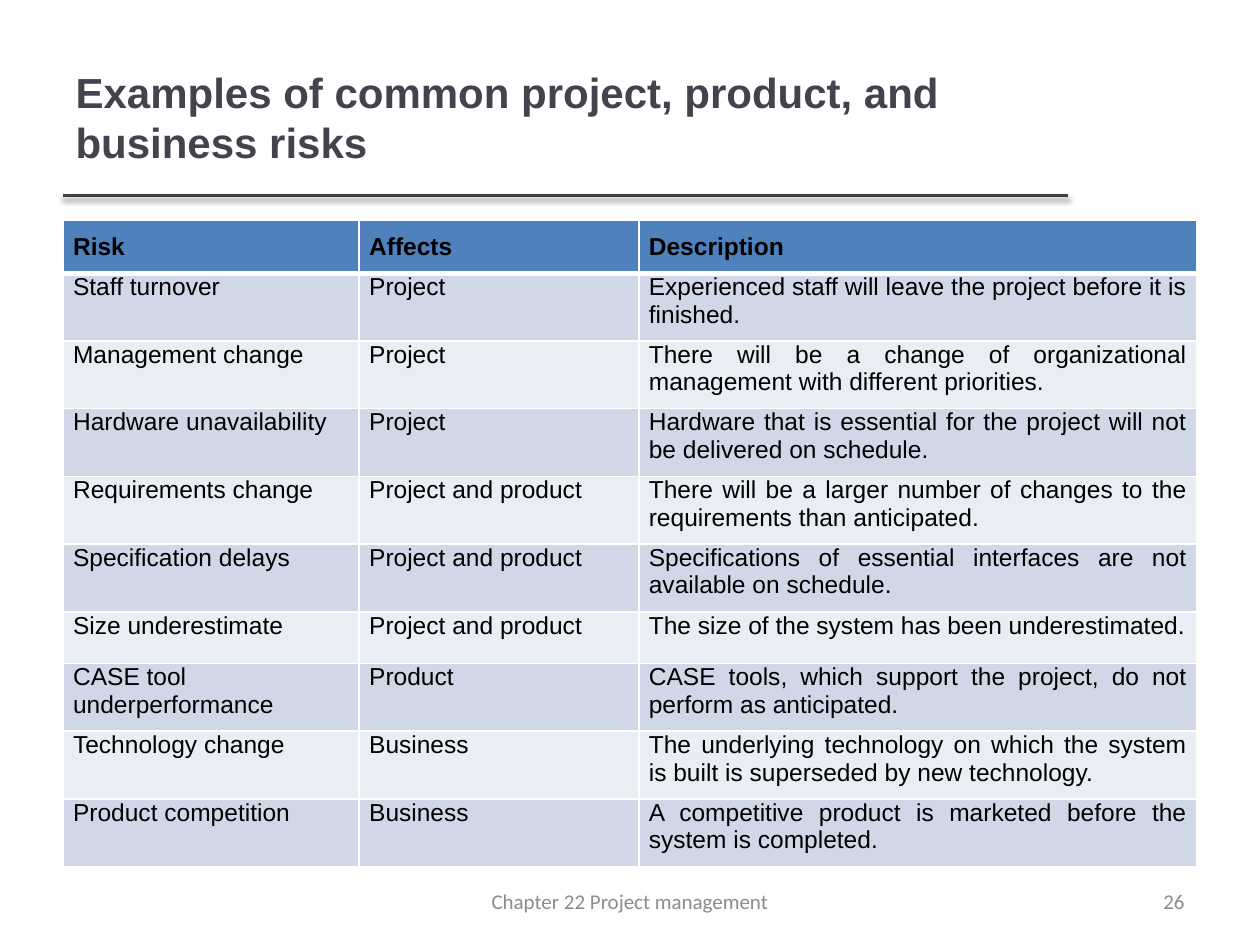
from dataclasses import dataclass
from typing import NamedTuple

from lxml import etree
from pptx import Presentation
from pptx import util as u
from pptx.dml.color import RGBColor
from pptx.enum import shapes, text
from pptx.oxml import parse_xml
from pptx.oxml.ns import nsdecls, qn

LEFT, RIGHT = text.PP_ALIGN.LEFT, text.PP_ALIGN.RIGHT
CENTER, JUSTIFY = text.PP_ALIGN.CENTER, text.PP_ALIGN.JUSTIFY
TOP, MIDDLE = text.MSO_ANCHOR.TOP, text.MSO_ANCHOR.MIDDLE


@dataclass(frozen=True)
class Theme:
    title: str = "46424D"
    rule: str = "404040"
    ink: str = "000000"
    muted: str = "8C8C8C"
    header: str = "4F81BD"
    bands: tuple = ("D0D8E8", "E9EDF4")
    border: str = "FFFFFF"
    font: str = "Arial"
    footer_font: str = "Calibri"
    title_size: float = 24
    table_size: float = 14
    footer_size: float = 12


class Box(NamedTuple):
    left: float
    top: float
    width: float
    height: float

    def emu(self) -> list:
        return [u.Inches(v) for v in self]


class Risk(NamedTuple):
    name: str
    affects: str
    description: str


THEME = Theme()
SLIDE_W, SLIDE_H, MARGIN = 10, 7.5, 0.5
CONTENT_W = SLIDE_W - 2 * MARGIN
TITLE = Box(MARGIN, 0.3, 7.98, 1.25)
TABLE = Box(MARGIN, 1.75, CONTENT_W, 5.37)
FOOTER = Box((SLIDE_W - 3.17) / 2, 6.95, 3.17, 0.4)
NUMBER = Box(SLIDE_W - MARGIN - 2.33, 6.95, 2.33, 0.4)
COLUMNS = (2.35, 2.22, 4.43)
ROW_H = 0.41

HEADINGS = Risk("Risk", "Affects", "Description")
RISKS = [
    Risk("Staff turnover", "Project",
         "Experienced staff will leave the project before it is finished."),
    Risk("Management change", "Project",
         "There will be a change of organizational management with different priorities."),
    Risk("Hardware unavailability", "Project",
         "Hardware that is essential for the project will not be delivered on schedule."),
    Risk("Requirements change", "Project and product",
         "There will be a larger number of changes to the requirements than anticipated."),
    Risk("Specification delays", "Project and product",
         "Specifications of essential interfaces are not available on schedule."),
    Risk("Size underestimate", "Project and product",
         "The size of the system has been underestimated."),
    Risk("CASE tool underperformance", "Product",
         "CASE tools, which support the project, do not perform as anticipated."),
    Risk("Technology change", "Business",
         "The underlying technology on which the system is built is superseded by new technology."),
    Risk("Product competition", "Business",
         "A competitive product is marketed before the system is completed."),
]


def write(tf, content: str, *, size: float, color: str, font: str = THEME.font,
          bold: bool = False, align=LEFT) -> None:
    p = tf.paragraphs[0]
    p.alignment = align
    r = p.add_run()
    r.text = content
    r.font.name, r.font.size, r.font.bold = font, u.Pt(size), bold
    r.font.color.rgb = RGBColor.from_string(color)


def add_title(slide, content: str) -> None:
    sp = slide.shapes.title
    sp.left, sp.top, sp.width, sp.height = TITLE.emu()
    tf = sp.text_frame
    tf.auto_size, tf.vertical_anchor = text.MSO_AUTO_SIZE.NONE, MIDDLE
    write(tf, content, size=THEME.title_size, color=THEME.title, bold=True)


def add_rule(slide) -> None:
    """Draw the shadowed line along the bottom of the title."""
    y = u.Inches(TITLE.top + TITLE.height)
    line = slide.shapes.add_connector(
        shapes.MSO_CONNECTOR.STRAIGHT, u.Inches(MARGIN), y,
        u.Inches(MARGIN + TITLE.width), y)
    line.line.width = u.Pt(2)
    line.line.color.rgb = RGBColor.from_string(THEME.rule)
    line._element.spPr.append(parse_xml(
        f'<a:effectLst {nsdecls("a")}><a:outerShdw blurRad="40000" dist="20000" '
        'dir="5400000" rotWithShape="0"><a:srgbClr val="000000">'
        '<a:alpha val="38000"/></a:srgbClr></a:outerShdw></a:effectLst>'))


def set_border(cell, side: str, width: float) -> None:
    ln = etree.SubElement(cell._tc.get_or_add_tcPr(), qn(f"a:ln{side}"),
                          w=str(u.Pt(width)))
    fill = etree.SubElement(ln, qn("a:solidFill"))
    etree.SubElement(fill, qn("a:srgbClr"), val=THEME.border)


def fill_cell(cell, content: str, *, color: str, top_inset: float, bold: bool,
              align, top_line: float, bottom_line: float) -> None:
    for side, width in zip("LRTB", (1, 1, top_line, bottom_line)):
        set_border(cell, side, width)
    cell.fill.solid()
    cell.fill.fore_color.rgb = RGBColor.from_string(color)
    cell.margin_left = cell.margin_right = u.Inches(0.08)
    cell.margin_top, cell.margin_bottom = u.Inches(top_inset), u.Inches(0.1)
    cell.vertical_anchor = TOP
    write(cell.text_frame, content, size=THEME.table_size, color=THEME.ink,
          bold=bold, align=align)


def add_risk_table(slide) -> None:
    frame = slide.shapes.add_table(len(RISKS) + 1, len(COLUMNS), *TABLE.emu())
    table = frame.table
    for column, width in zip(table.columns, COLUMNS):
        column.width = u.Inches(width)
    for i, risk in enumerate([HEADINGS, *RISKS]):
        table.rows[i].height = u.Inches(ROW_H)
        head = i == 0
        for j, content in enumerate(risk):
            fill_cell(table.cell(i, j), content,
                      color=THEME.header if head else THEME.bands[(i - 1) % 2],
                      top_inset=0.1 if head else 0, bold=head,
                      align=JUSTIFY if head or j == 2 else LEFT,
                      top_line=3 if i == 1 else 1, bottom_line=3 if head else 1)
    frame.height = u.Inches(TABLE.height)


def add_footer(slide, box: Box, content: str, align) -> None:
    tf = slide.shapes.add_textbox(*box.emu()).text_frame
    tf.word_wrap, tf.vertical_anchor = True, MIDDLE
    write(tf, content, size=THEME.footer_size, color=THEME.muted,
          font=THEME.footer_font, align=align)


def main() -> None:
    prs = Presentation()
    prs.slide_width, prs.slide_height = u.Inches(SLIDE_W), u.Inches(SLIDE_H)
    slide = prs.slides.add_slide(prs.slide_layouts.get_by_name("Title Only"))
    add_rule(slide)
    add_title(slide, "Examples of common project, product, and business risks")
    add_risk_table(slide)
    add_footer(slide, NUMBER, "26", RIGHT)
    add_footer(slide, FOOTER, "Chapter 22 Project management", CENTER)
    prs.save("out.pptx")


if __name__ == "__main__":
    main()
